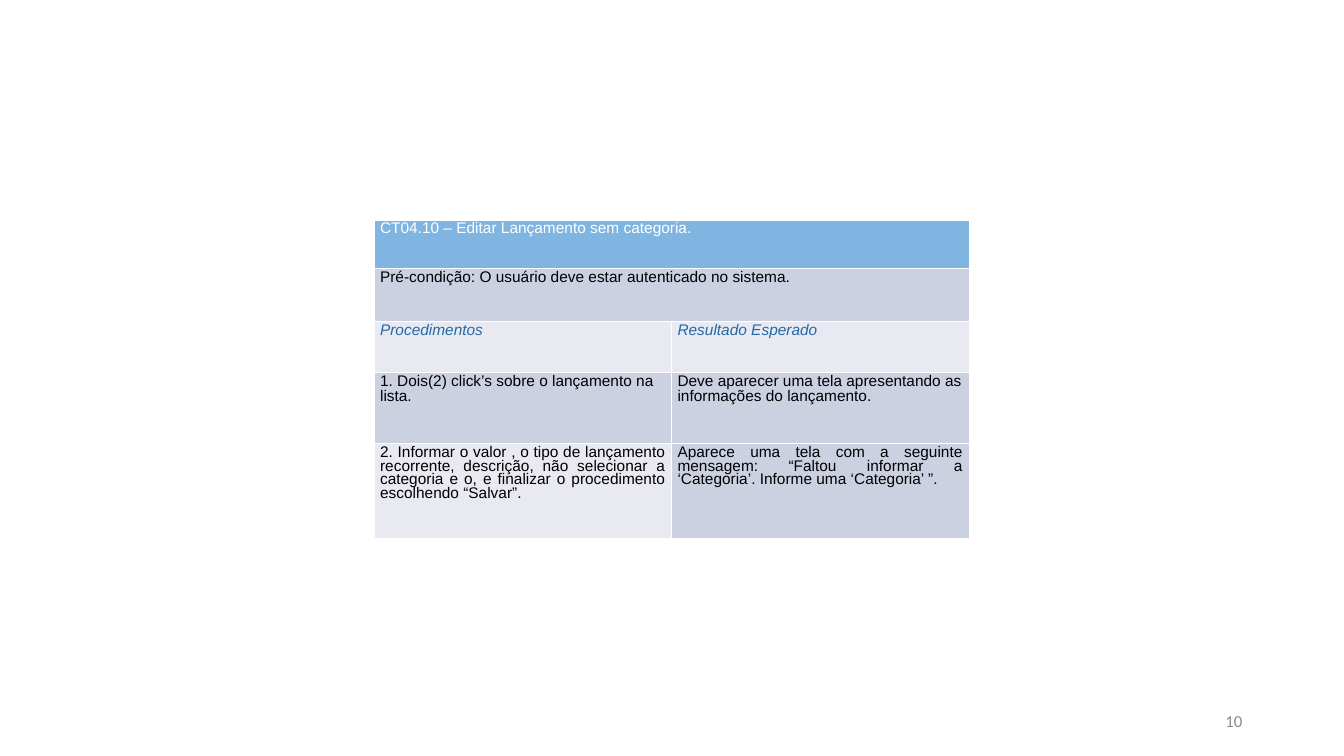
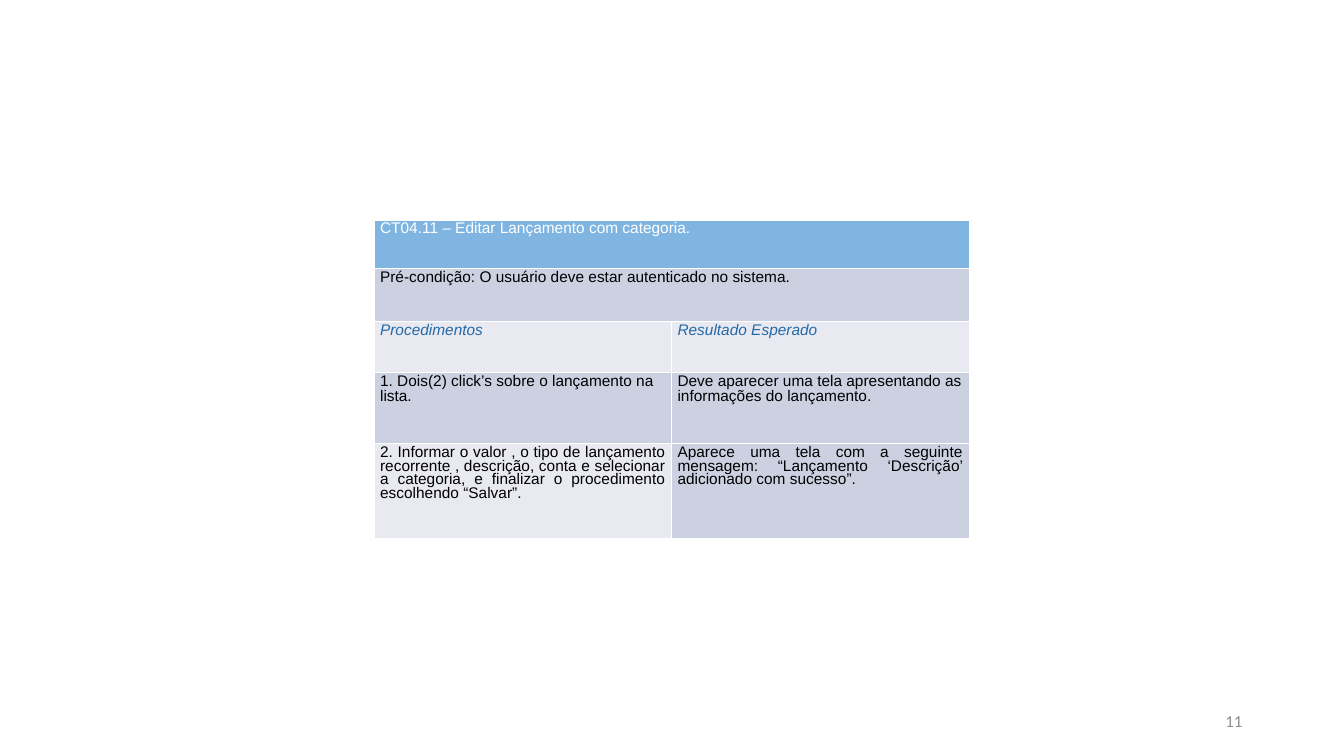
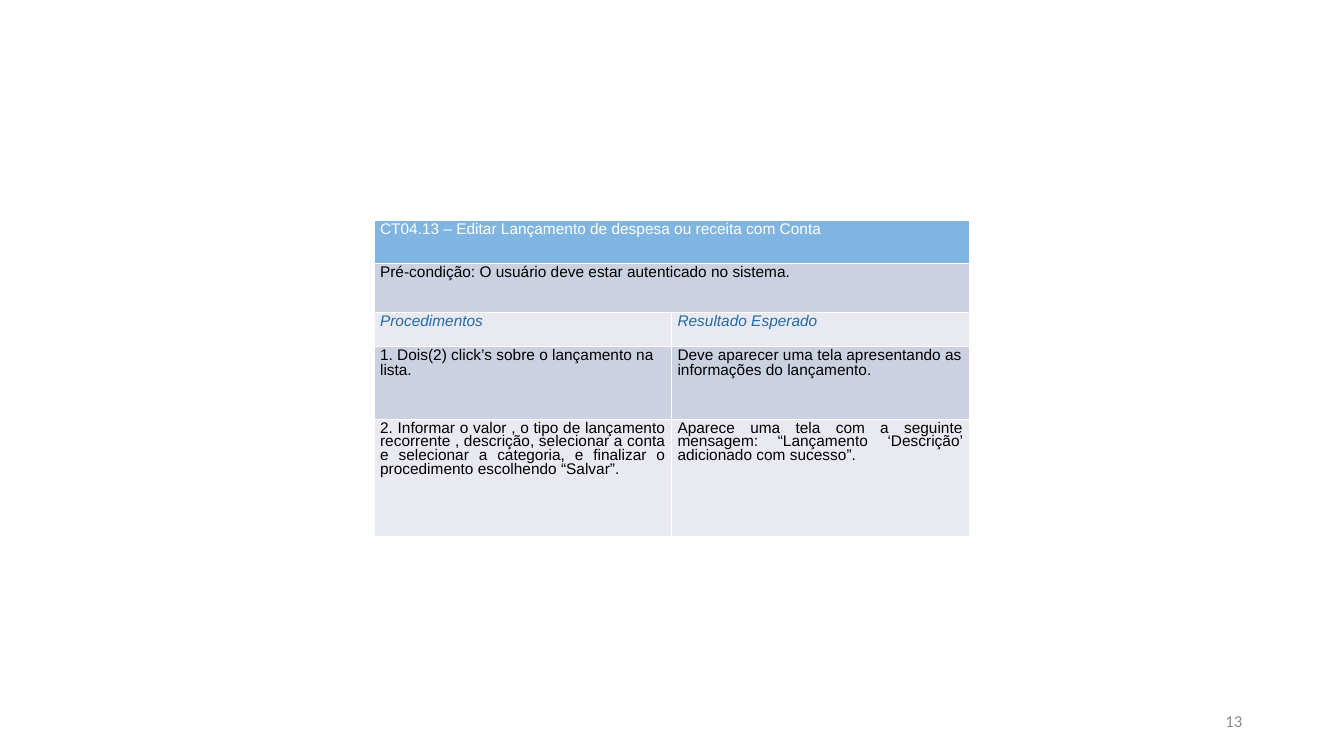
from pptx import Presentation
from pptx.dml.color import RGBColor
from pptx.enum.text import MSO_ANCHOR, PP_ALIGN
from pptx.oxml import parse_xml
from pptx.oxml.ns import nsdecls
from pptx.util import Emu, Pt

# Shared look; 100 px to the inch
PX = 9144
COLORS = {"header": "80B5E2", "dark": "CCD1E1", "light": "E8E9F1", "white": "FFFFFF",
          "black": "000000", "blue": "2469A6", "gray": "8C8C8C"}
TABLE_LEFT, TABLE_TOP, COL_W = 371, 218, 295
NUMBER_BOX = (942, 695, 300, 40)
MARGINS = {"margin_left": 6, "margin_right": 6, "margin_top": 3, "margin_bottom": 3}
BORDER_EMU = 762

# Row formats: fill, text colour, italic, alignment, line spacing
ROW_STYLES = [
    ("header", "white", False, PP_ALIGN.LEFT, 0.8),
    ("dark", "black", False, PP_ALIGN.LEFT, 0.8),
    ("light", "blue", True, PP_ALIGN.LEFT, 0.8),
    ("dark", "black", False, PP_ALIGN.LEFT, 0.86),
    ("light", "black", False, PP_ALIGN.JUSTIFY, 0.8),
]

# Content: rows that all test cases share, then the cases
SHARED_ROWS = [
    ("Pré-condição: O usuário deve estar autenticado no sistema.",),
    ("Procedimentos", "Resultado Esperado"),
    ("1. Dois(2) click’s sobre o lançamento na lista.",
     "Deve aparecer uma tela apresentando as informações do lançamento."),
]
SUCCESS = "Aparece uma tela com a seguinte mensagem: “Lançamento ‘Descrição’ adicionado com sucesso”."
TALL_ROWS = (48, 53, 50, 71, 94)
CASES = [
    {"number": 10, "heights": TALL_ROWS, "last_fill": "dark", "title_spacing": 0.8,
     "title": "CT04.10 – Editar Lançamento sem categoria.",
     "step": "2. Informar o valor , o tipo de lançamento recorrente, descrição, não selecionar "
             "a categoria e o, e finalizar o procedimento escolhendo “Salvar”.",
     "result": "Aparece uma tela com a seguinte mensagem: “Faltou informar a ‘Categoria’. "
               "Informe uma ‘Categoria’ ”."},
    {"number": 11, "heights": TALL_ROWS, "last_fill": "dark", "title_spacing": 0.8,
     "title": "CT04.11 – Editar Lançamento com categoria.",
     "step": "2. Informar o valor , o tipo de lançamento recorrente , descrição, conta e "
             "selecionar a categoria, e finalizar o procedimento escolhendo “Salvar”.",
     "result": SUCCESS},
    {"number": 13, "heights": (43, 49, 33, 73, 116), "last_fill": "light", "title_spacing": 0.86,
     "title": "CT04.13 – Editar Lançamento de despesa ou receita com Conta",
     "step": "2. Informar o valor , o tipo de lançamento recorrente , descrição, selecionar a "
             "conta e selecionar a categoria, e finalizar o procedimento escolhendo “Salvar”.",
     "result": SUCCESS},
]


def px(n):
    return Emu(n * PX)


def rgb(name):
    return RGBColor.from_string(COLORS[name])


def write(tf, text, color, font, size, align, italic=False, spacing=None):
    p = tf.paragraphs[0]
    p.alignment, p.line_spacing = align, spacing
    r = p.add_run()
    r.text = text
    for name, value in {"name": font, "size": Pt(size), "italic": italic, "bold": False}.items():
        setattr(r.font, name, value)
    r.font.color.rgb = rgb(color)


def format_cell(cell, fill):
    for name, value in MARGINS.items():
        setattr(cell, name, px(value))
    cell.fill.solid()
    cell.fill.fore_color.rgb = rgb(fill)
    tcPr = cell._tc.get_or_add_tcPr()
    for i, side in enumerate("LRTB"):
        tcPr.insert(i, parse_xml(
            f'<a:ln{side} {nsdecls("a")} w="{BORDER_EMU}"><a:solidFill>'
            f'<a:srgbClr val="{COLORS["white"]}"/></a:solidFill></a:ln{side}>'))


def add_number(s, number):
    tf = s.shapes.add_textbox(*map(px, NUMBER_BOX)).text_frame
    tf.word_wrap = True
    tf.vertical_anchor = MSO_ANCHOR.MIDDLE
    write(tf, str(number), "gray", "Calibri", 12, PP_ALIGN.RIGHT)


def add_case_table(s, case):
    rows = [(case["title"],), *SHARED_ROWS, (case["step"], case["result"])]
    heights = case["heights"]
    table = s.shapes.add_table(len(rows), 2, px(TABLE_LEFT), px(TABLE_TOP),
                               px(2 * COL_W), px(sum(heights))).table
    table.first_row = table.horz_banding = False
    for col in table.columns:
        col.width = px(COL_W)
    for i, (texts, style) in enumerate(zip(rows, ROW_STYLES)):
        fill, color, italic, align, spacing = style
        table.rows[i].height = px(heights[i])
        for j in range(2):
            is_last = (i, j) == (len(rows) - 1, 1)
            format_cell(table.cell(i, j), case["last_fill"] if is_last else fill)
        if len(texts) == 1:
            table.cell(i, 0).merge(table.cell(i, 1))
        for j, text in enumerate(texts):
            write(table.cell(i, j).text_frame, text, color, "Arial", 11, align, italic,
                  case["title_spacing"] if i == 0 else spacing)


def main():
    prs = Presentation()
    prs.slide_width, prs.slide_height = px(1333), px(750)
    for case in CASES:
        s = prs.slides.add_slide(prs.slide_layouts[6])
        add_number(s, case["number"])
        add_case_table(s, case)
    prs.save("out.pptx")


if __name__ == "__main__":
    main()
